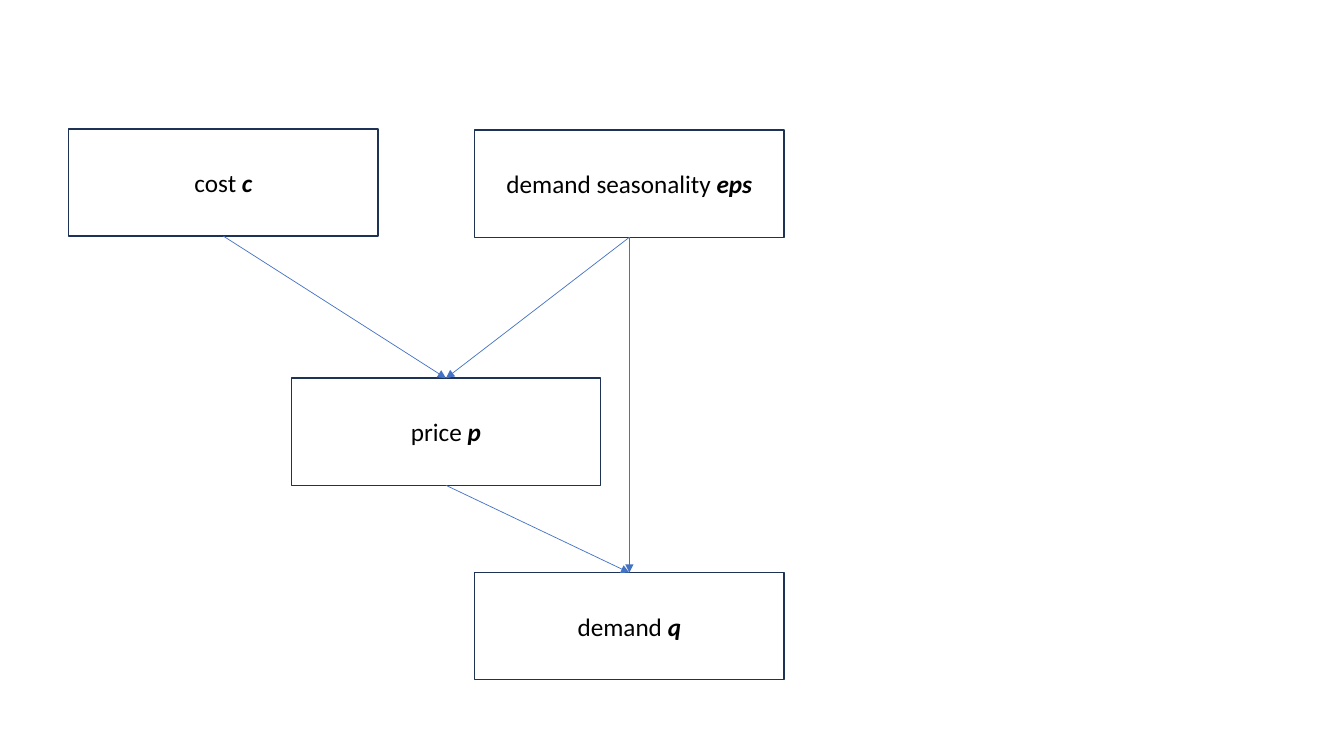
from lxml import etree
from pptx import Presentation
from pptx.dml.color import RGBColor
from pptx.enum.shapes import MSO_CONNECTOR, MSO_SHAPE
from pptx.enum.text import MSO_ANCHOR, PP_ALIGN
from pptx.oxml.ns import qn
from pptx.util import Cm, Pt

# Content: name -> (label, symbol, left, top) in cm
VARIABLES = {
    "cost": ("cost ", "c", 1.73, 3.25),
    "seasonality": ("demand seasonality ", "eps", 11.96, 3.28),
    "price": ("price ", "p", 7.34, 9.53),
    "demand": ("demand ", "q", 11.96, 14.43),
}
INFLUENCES = [
    ("cost", "price"),
    ("seasonality", "price"),
    ("seasonality", "demand"),
    ("price", "demand"),
]

# Style
BOX_WIDTH, BOX_HEIGHT = Cm(7.8), Cm(2.7)
FONT, FONT_SIZE = "Calibri", Pt(18)
BLACK = RGBColor(0x00, 0x00, 0x00)
NAVY = RGBColor(0x1E, 0x32, 0x56)
BLUE = RGBColor(0x44, 0x72, 0xC4)
RECTANGLE = MSO_SHAPE.RECTANGLE
STRAIGHT = MSO_CONNECTOR.STRAIGHT
CENTER, MIDDLE = PP_ALIGN.CENTER, MSO_ANCHOR.MIDDLE
TOP_SIDE, BOTTOM_SIDE = 0, 2


def add_box(page, label, symbol, left, top):
    box = page.shapes.add_shape(RECTANGLE, Cm(left), Cm(top), BOX_WIDTH, BOX_HEIGHT)
    box.shadow.inherit = False
    box.fill.background()
    box.line.color.rgb = NAVY
    box.line.width = Pt(1)
    box.text_frame.vertical_anchor = MIDDLE
    para = box.text_frame.paragraphs[0]
    para.alignment = CENTER
    for text, is_symbol in ((label, False), (symbol, True)):
        span = para.add_run()
        span.text = text
        span.font.name = FONT
        span.font.size = FONT_SIZE
        span.font.color.rgb = BLACK
        span.font.bold = span.font.italic = is_symbol
    return box


def add_arrow(page, cause, effect):
    arrow = page.shapes.add_connector(STRAIGHT, 0, 0, 0, 0)
    arrow.begin_connect(cause, BOTTOM_SIDE)
    arrow.end_connect(effect, TOP_SIDE)
    arrow.line.color.rgb = BLUE
    arrow.line.width = Pt(0.5)
    etree.SubElement(arrow.line._get_or_add_ln(), qn("a:tailEnd"), type="triangle")
    etree.SubElement(arrow._element.spPr, qn("a:effectLst"))


def main():
    deck = Presentation()
    deck.slide_width, deck.slide_height = Cm(33.87), Cm(19.05)
    page = deck.slides.add_slide(deck.slide_layouts[6])

    # Variable boxes
    boxes = {name: add_box(page, *variable) for name, variable in VARIABLES.items()}

    # Causal arrows
    for cause, effect in INFLUENCES:
        add_arrow(page, boxes[cause], boxes[effect])

    deck.save("out.pptx")


if __name__ == "__main__":
    main()
